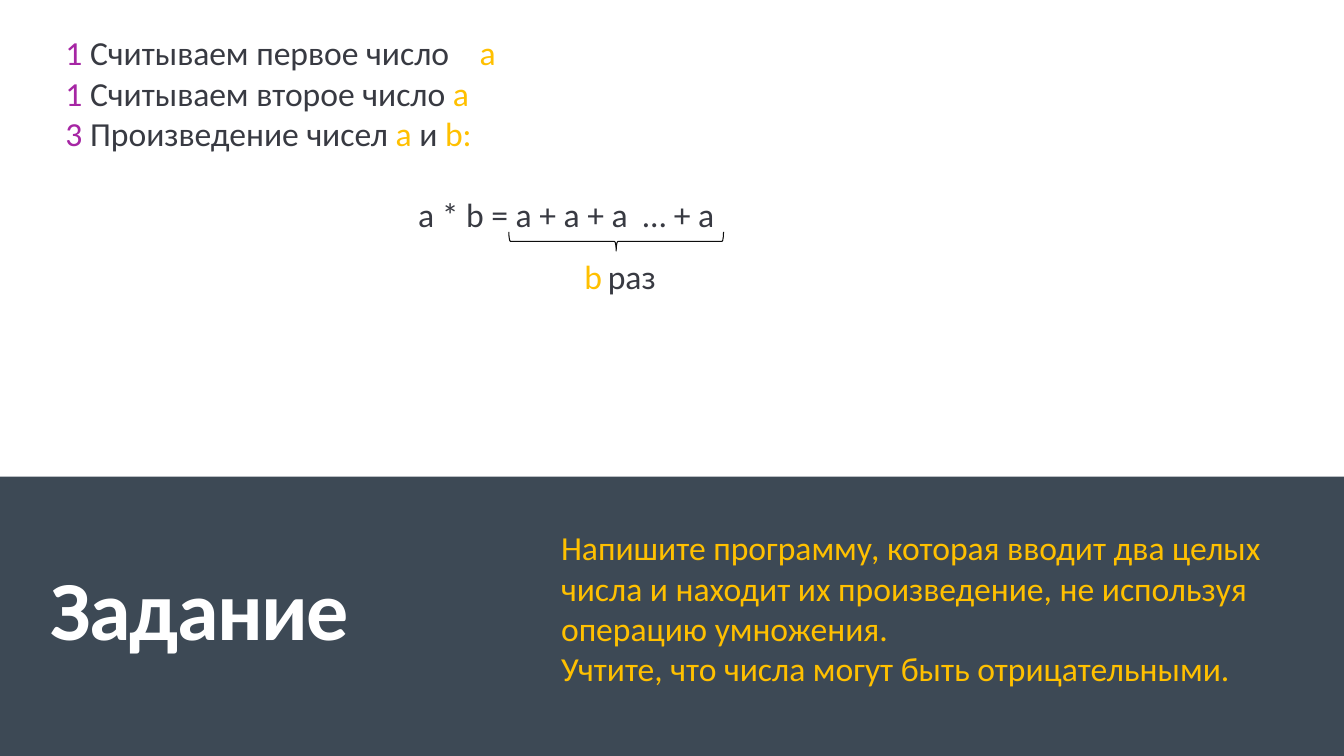
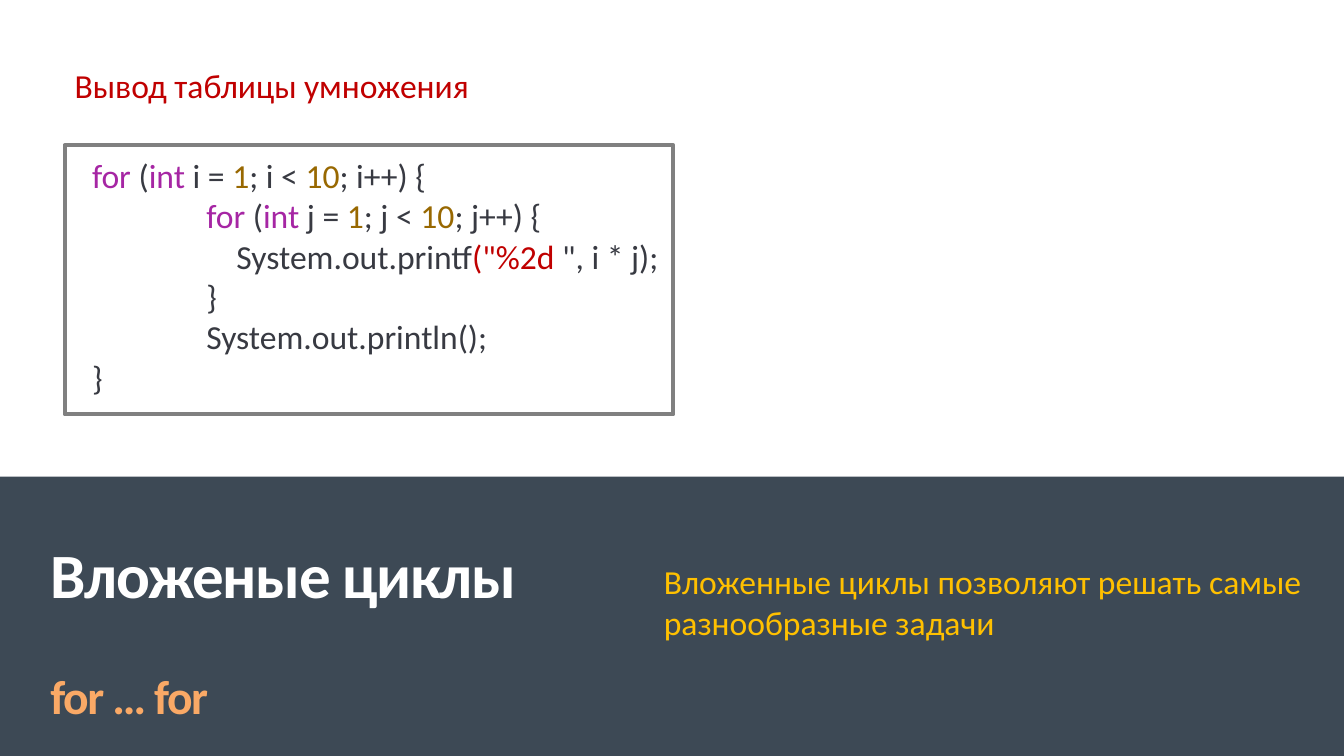
from dataclasses import dataclass

from pptx import Presentation
from pptx.dml.color import RGBColor
from pptx.enum.shapes import MSO_SHAPE
from pptx.enum.text import MSO_ANCHOR
from pptx.oxml.ns import qn
from pptx.util import Cm, Pt
from lxml import etree

RECT = MSO_SHAPE.RECTANGLE
BRACE = MSO_SHAPE.LEFT_BRACE
TOP, BOTTOM = MSO_ANCHOR.TOP, MSO_ANCHOR.BOTTOM

FONT = "Calibri"
SLIDE_W, SLIDE_H = 33.87, 19.05
BAND_TOP = 12.01
BODY_SIZE = 24
COLORS = {
    "band": "3D4955", "white": "FFFFFF", "gold": "FFC000", "ink": "383A42",
    "violet": "A626A4", "number": "986801", "red": "C00000",
    "orange": "FAA966", "frame": "808080", "brace": "0D0D0D",
}


@dataclass
class Piece:
    text: str
    color: str = "ink"
    size: float = BODY_SIZE
    bold: bool = False
    tracking: float = 0


@dataclass
class Line:
    pieces: list[Piece]
    indent: float = 0
    before: float = 0
    spacing: float = 1.0
    tab: float = 0


@dataclass
class Box:
    left: float
    top: float
    width: float
    height: float


def rgb(name: str) -> RGBColor:
    return RGBColor.from_string(COLORS[name])


def add_shape(s, kind, box: Box, fill: str = "", line: str = "", weight: float = 0):
    sp = s.shapes.add_shape(kind, Cm(box.left), Cm(box.top), Cm(box.width), Cm(box.height))
    sp.shadow.inherit = False
    if fill:
        sp.fill.solid()
        sp.fill.fore_color.rgb = rgb(fill)
    else:
        sp.fill.background()
    if line:
        sp.line.color.rgb = rgb(line)
        sp.line.width = Pt(weight)
    else:
        sp.line.fill.background()
    return sp


def add_piece(p, piece: Piece) -> None:
    r = p.add_run()
    r.text = piece.text
    r.font.name = FONT
    r.font.size = Pt(piece.size)
    r.font.bold = piece.bold
    r.font.color.rgb = rgb(piece.color)
    if piece.tracking:
        r.font._element.set("spc", str(round(piece.tracking * 100)))


def add_text(s, box: Box, lines: list[Line], anchor=TOP, wrap: bool = True,
             bottom: float = 0.13) -> None:
    tf = s.shapes.add_textbox(Cm(box.left), Cm(box.top), Cm(box.width), Cm(box.height)).text_frame
    tf.word_wrap = wrap
    tf.vertical_anchor = anchor
    tf.margin_bottom = Cm(bottom)
    for i, line in enumerate(lines):
        p = tf.add_paragraph() if i else tf.paragraphs[0]
        p.space_before = Pt(line.before)
        p.line_spacing = line.spacing
        pPr = p._p.get_or_add_pPr()
        if line.indent:
            pPr.set("marL", str(Cm(line.indent)))
            pPr.set("indent", "0")
        if line.tab:
            tabs = etree.SubElement(pPr, qn("a:tabLst"))
            etree.SubElement(tabs, qn("a:tab"), pos=str(Cm(line.tab)), algn="l")
        for piece in line.pieces:
            add_piece(p, piece)


def add_base_slide(prs, title: list[Line], title_bottom: float,
                   note_box: Box, notes: list[str]):
    """White slide with the dark band, its title and the gold remark."""
    s = prs.slides.add_slide(prs.slide_layouts[6])
    add_shape(s, RECT, Box(0, BAND_TOP, SLIDE_W, SLIDE_H - BAND_TOP), fill="band")
    add_text(s, Box(1.02, 12.7, 12.47, 5.66), title, BOTTOM, bottom=title_bottom)
    add_text(s, note_box, [Line([Piece(note, "gold")]) for note in notes])
    return s


def title_line(text: str, size: float, color: str = "white",
               before: float = 12, spacing: float = 0.9) -> Line:
    return Line([Piece(text, color, size, True, -1)], before=before, spacing=spacing)


def step(number: str, *pieces: Piece, tab: float = 0) -> Line:
    return Line([Piece(f"{number} ", "violet"), *pieces], tab=tab)


def loop_line(var: str, indent: float) -> Line:
    return Line([
        Piece("for", "violet"), Piece(" ("), Piece("int", "violet"),
        Piece(f" {var} = "), Piece("1", "number"), Piece(f"; {var} < "),
        Piece("10", "number"), Piece(f"; {var}++) {{"),
    ], indent)


def build_task(prs) -> None:
    s = add_base_slide(
        prs, [title_line("Задание", 60)], 1.75, Box(13.89, 13.16, 18.67, 4.37),
        ["Напишите программу, которая вводит два целых числа и находит их "
         "произведение, не используя операцию умножения.",
         "Учтите, что числа могут быть отрицательными."])

    # Steps and formula
    a = Piece("a", "gold")
    add_text(s, Box(1.4, 0.69, 30.76, 5.38), [
        step("1", Piece("Считываем первое число\t"), a, tab=10.44),
        step("1", Piece("Считываем второе число "), a),
        step("3", Piece("Произведение чисел "), a, Piece(" и "), Piece("b:", "gold")),
        Line([Piece("a * b = a + a + a  … + a")], indent=8.89, before=29.3),
    ])

    # Brace under the sum
    brace = add_shape(s, BRACE, Box(15.29, 3.38, 0.48, 5.41), line="brace", weight=0.75)
    brace.rotation = 270
    add_text(s, Box(14.48, 6.32, 3.38, 1.27),
             [Line([Piece("b", "gold"), Piece(" ", size=18), Piece("раз")])])


def build_nested_loops(prs) -> None:
    s = add_base_slide(
        prs, [title_line("Вложеные циклы", 45, spacing=0.8),
              title_line("for … for", 34, "orange", before=48, spacing=0.8)],
        0.13, Box(16.48, 14.02, 17.15, 2.31),
        ["Вложенные циклы позволяют решать самые разнообразные задачи"])

    # Framed code
    outer, inner, deep = 0.17, 3.05, 3.81
    add_shape(s, RECT, Box(1.63, 3.66, 15.34, 6.78), line="frame", weight=3)
    add_text(s, Box(1.9, 3.78, 16.94, 6.4), [
        loop_line("i", outer),
        loop_line("j", inner),
        Line([Piece("System.out.printf"), Piece('("%2d ', "red"), Piece('", i * j);')], deep),
        Line([Piece("}")], inner),
        Line([Piece("System.out.println();")], inner),
        Line([Piece("}")], outer),
    ])
    add_text(s, Box(1.63, 1.5, 10.64, 1.27),
             [Line([Piece("Вывод таблицы умножения", "red")])], wrap=False)


def main() -> None:
    prs = Presentation()
    prs.slide_width, prs.slide_height = Cm(SLIDE_W), Cm(SLIDE_H)
    build_task(prs)
    build_nested_loops(prs)
    prs.save("out.pptx")


if __name__ == "__main__":
    main()
